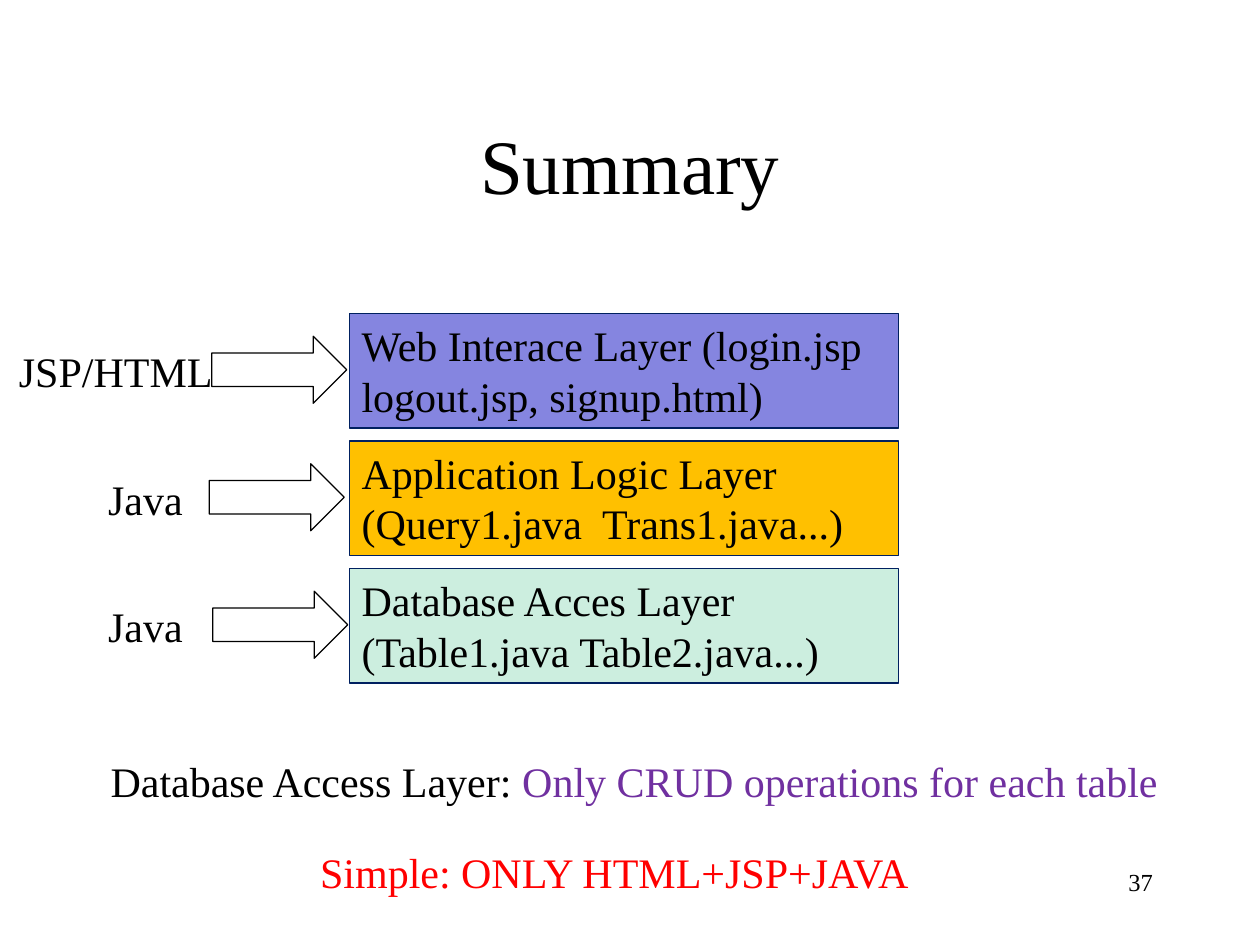
from dataclasses import dataclass

from pptx import Presentation
from pptx.dml.color import RGBColor
from pptx.enum.shapes import MSO_SHAPE
from pptx.enum.text import MSO_ANCHOR, PP_ALIGN
from pptx.util import Cm, Pt

RECTANGLE = MSO_SHAPE.RECTANGLE
RIGHT_ARROW = MSO_SHAPE.RIGHT_ARROW
LEFT, CENTER, RIGHT = PP_ALIGN.LEFT, PP_ALIGN.CENTER, PP_ALIGN.RIGHT
TOP, MIDDLE = MSO_ANCHOR.TOP, MSO_ANCHOR.MIDDLE

FONT = "Times New Roman"
BLACK, WHITE, NAVY = "000000", "FFFFFF", "002060"
PURPLE, RED = "7030A0", "FF0000"

FIRST_LAYER_TOP = 6.32
LAYER_STEP = 2.57
ARROW_OFFSET = 0.46
LABEL_OFFSET = 0.53


@dataclass
class Box:
    """Place and size in centimetres."""
    left: float
    top: float
    width: float
    height: float

    def lengths(self) -> tuple:
        return Cm(self.left), Cm(self.top), Cm(self.width), Cm(self.height)


@dataclass
class Layer:
    description: str
    fill: str
    technology: str
    label_left: float
    label_width: float
    arrow_left: float


LAYERS = [
    Layer("Web Interace Layer (login.jsp logout.jsp, signup.html)",
          "8585E0", "JSP/HTML", 0.13, 5.0, 4.27),
    Layer("Application Logic Layer (Query1.java  Trans1.java...)",
          "FFC000", "Java", 1.93, 2.79, 4.22),
    Layer("Database Acces Layer (Table1.java Table2.java...)",
          "CCEEDF", "Java", 1.93, 2.79, 4.29),
]


def color(hex_code: str) -> RGBColor:
    return RGBColor.from_string(hex_code)


def write(shape, parts: list, size: float = 24, align=LEFT, anchor=TOP) -> None:
    """Fill the shape with one paragraph of (text, colour) parts."""
    frame = shape.text_frame
    frame.word_wrap = True
    frame.vertical_anchor = anchor
    paragraph = frame.paragraphs[0]
    paragraph.alignment = align
    for text, hex_code in parts:
        run = paragraph.add_run()
        run.text = text
        run.font.name = FONT
        run.font.size = Pt(size)
        run.font.color.rgb = color(hex_code)


def add_text(slide, box: Box, parts: list, size: float = 24, align=LEFT) -> None:
    write(slide.shapes.add_textbox(*box.lengths()), parts, size, align)


def add_outlined(slide, preset, box: Box, fill: str, line: str):
    shape = slide.shapes.add_shape(preset, *box.lengths())
    shape.shadow.inherit = False
    shape.fill.solid()
    shape.fill.fore_color.rgb = color(fill)
    shape.line.color.rgb = color(line)
    shape.line.width = Pt(0.75)
    return shape


def add_layer(slide, layer: Layer, top: float) -> None:
    """Draw the layer's box with its technology label and arrow at the left."""
    block = add_outlined(slide, RECTANGLE, Box(7.04, top, 11.07, 2.31),
                         layer.fill, NAVY)
    write(block, [(layer.description, BLACK)])
    add_outlined(slide, RIGHT_ARROW,
                 Box(layer.arrow_left, top + ARROW_OFFSET, 2.72, 1.35),
                 WHITE, BLACK)
    add_text(slide, Box(layer.label_left, top + LABEL_OFFSET,
                        layer.label_width, 1.27),
             [(layer.technology, BLACK)])


def main() -> None:
    deck = Presentation()
    deck.slide_width, deck.slide_height = Cm(25.4), Cm(19.05)
    slide = deck.slides.add_slide(deck.slide_layouts[5])

    title = slide.shapes.title
    title.left, title.top, title.width, title.height = Box(
        1.9, 1.7, 21.6, 3.18).lengths()
    write(title, [("Summary", BLACK)], 44, CENTER, MIDDLE)

    for index, layer in enumerate(LAYERS):
        add_layer(slide, layer, FIRST_LAYER_TOP + index * LAYER_STEP)

    add_text(slide, Box(1.98, 15.11, 23.5, 1.27),
             [("Database Access Layer: ", BLACK),
              ("Only CRUD operations for each table", PURPLE)])
    add_text(slide, Box(3.81, 16.94, 17.15, 1.27),
             [("Simple: ONLY HTML+JSP+JAVA", RED)], align=CENTER)
    add_text(slide, Box(18.21, 17.35, 5.28, 1.27),
             [("37", BLACK)], 14, RIGHT)

    deck.save("out.pptx")


if __name__ == "__main__":
    main()
